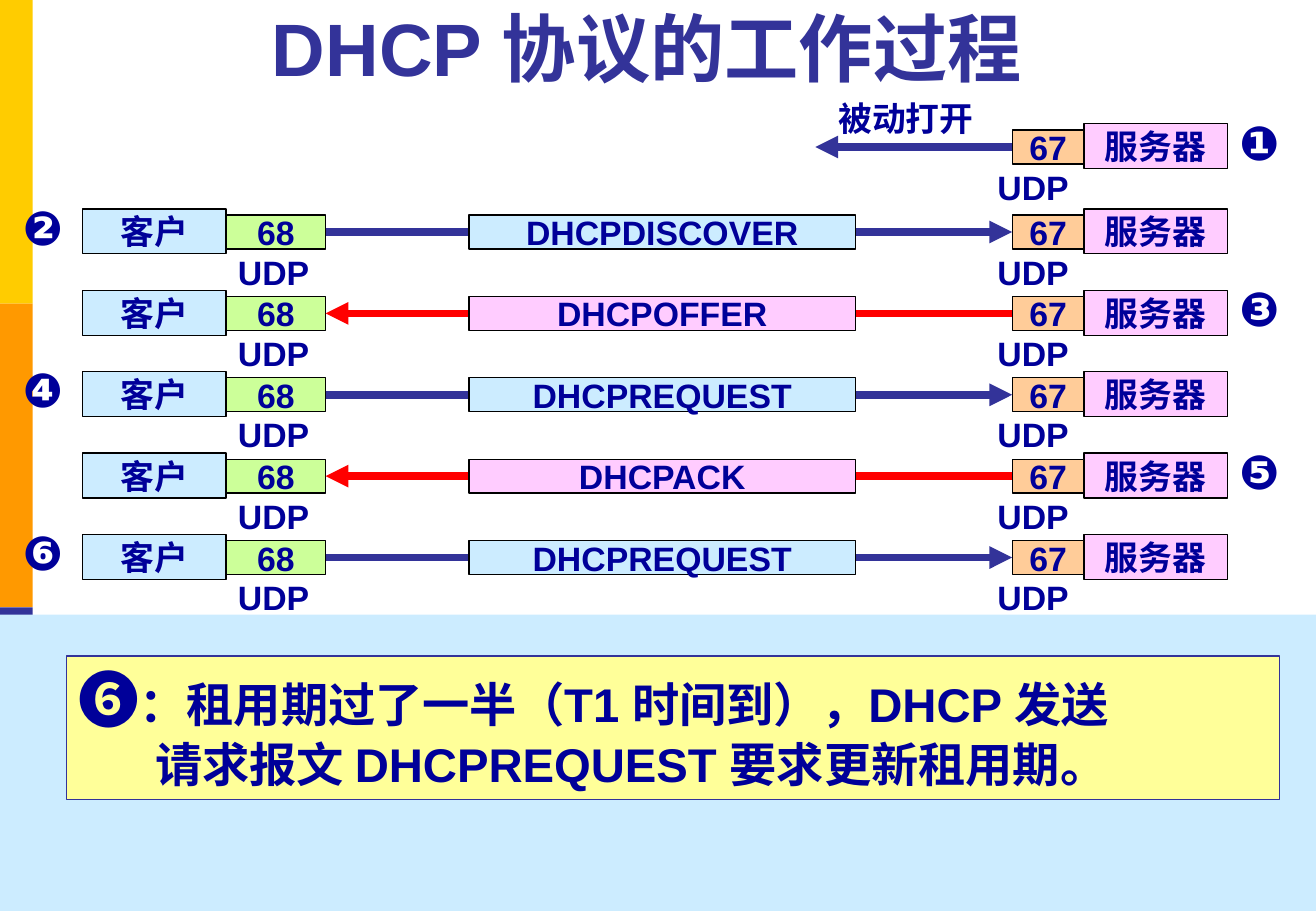
import pptx
import pptx.util
import pptx.dml.color
import pptx.enum.shapes
import pptx.enum.text
import pptx.oxml.ns
from lxml import etree

Inches = pptx.util.Inches
Align = pptx.enum.text.PP_ALIGN
Anchor = pptx.enum.text.MSO_ANCHOR
COLORS = {
    "gold": "FFCC00", "orange": "FF9900", "indigo": "333399", "red": "FF0000",
    "navy": "000099", "black": "000000", "sky": "CCECFF", "pink": "FFCCFF",
    "peach": "FFCC99", "lime": "CCFF99", "lemon": "FFFF99",
}
ROW_HEIGHT = 0.37
ROW_PITCH = 0.67
PORT_HEIGHT = 0.28
CLIENT_LEFT, SERVER_LEFT = 0.68, 8.33
EXCHANGES = [
    ("❷", "DHCPDISCOVER", True),
    ("❸", "DHCPOFFER", False),
    ("❹", "DHCPREQUEST", True),
    ("❺", "DHCPACK", False),
    ("❻", "DHCPREQUEST", True),
]


def color(name):
    return pptx.dml.color.RGBColor.from_string(COLORS[name])


def style_font(font, size, ink="navy"):
    font.name = "Arial"
    font.size = pptx.util.Pt(size)
    font.bold = True
    font.color.rgb = color(ink)


def add_block(page, left, top, width, height, fill, outline=None, text=None):
    """Add a filled rectangle, with a thin outline and a centred label if given."""
    box = page.shapes.add_shape(
        pptx.enum.shapes.MSO_SHAPE.RECTANGLE,
        Inches(left), Inches(top), Inches(width), Inches(height))
    box.shadow.inherit = False
    box.fill.solid()
    box.fill.fore_color.rgb = color(fill)
    if outline:
        box.line.color.rgb = color(outline)
        box.line.width = pptx.util.Pt(0.75)
    else:
        box.line.fill.background()
    if text:
        box.text_frame.word_wrap = False
        box.text_frame.vertical_anchor = Anchor.MIDDLE
        para = box.text_frame.paragraphs[0]
        para.text = text
        para.alignment = Align.CENTER
        style_font(para.font, 20)
    return box


def add_label(page, left, top, width, height, text, size=20):
    box = page.shapes.add_textbox(
        Inches(left), Inches(top), Inches(width), Inches(height))
    box.text_frame.word_wrap = False
    box.text_frame.auto_size = pptx.enum.text.MSO_AUTO_SIZE.SHAPE_TO_FIT_TEXT
    para = box.text_frame.paragraphs[0]
    para.text = text
    style_font(para.font, size)


def add_arrow(page, start, end, ink):
    """Add a thick arrow between two (x, y) points."""
    arrow = page.shapes.add_connector(
        pptx.enum.shapes.MSO_CONNECTOR.STRAIGHT,
        *[Inches(value) for value in (*start, *end)])
    arrow.line.color.rgb = color(ink)
    arrow.line.width = pptx.util.Pt(4.5)
    qn = pptx.oxml.ns.qn
    etree.SubElement(arrow.line._get_or_add_ln(), qn("a:tailEnd"), type="triangle")
    etree.SubElement(arrow._element.spPr, qn("a:effectLst"))
    return arrow


def add_client(page, left, top):
    """Add the client with its port on the right, and return the port."""
    add_block(page, left, top, 1.18, ROW_HEIGHT, "sky", "black", "客户")
    port = add_block(page, left + 1.18, top + 0.05, 0.82, PORT_HEIGHT,
                     "lime", "black", "68")
    add_label(page, left + 1.18, top + 0.3, 0.8, 0.44, "UDP")
    return port


def add_server(page, left, top):
    """Add the server with its port on the left, and return the port."""
    add_block(page, left + 0.59, top, 1.18, ROW_HEIGHT, "pink", "black", "服务器")
    port = add_block(page, left, top + 0.05, 0.59, PORT_HEIGHT,
                     "peach", "black", "67")
    add_label(page, left - 0.22, top + 0.3, 0.8, 0.44, "UDP")
    return port


def add_step(page, top, number, at_client):
    left = CLIENT_LEFT - 0.59 if at_client else SERVER_LEFT + 1.77
    add_label(page, left, top - 0.14, 0.55, 0.57, number, 28)


def add_passive_open(page, top):
    server_port = add_server(page, SERVER_LEFT, top)
    middle = top + 0.19
    arrow = add_arrow(page, (SERVER_LEFT, middle), (6.71, middle), "indigo")
    arrow.begin_connect(server_port, 1)
    add_label(page, 6.8, top - 0.26, 1.32, 0.44, "被动打开")
    add_step(page, top, "❶", False)


def add_exchange(page, top, number, message, from_client):
    """Add one message row between client and server."""
    client_port = add_client(page, CLIENT_LEFT, top)
    server_port = add_server(page, SERVER_LEFT, top)
    middle = top + 0.19
    ends = [(client_port, 3, (CLIENT_LEFT + 2, middle)),
            (server_port, 1, (SERVER_LEFT, middle))]
    if not from_client:
        ends.reverse()
    (source, source_side, start), (target, target_side, end) = ends
    arrow = add_arrow(page, start, end, "indigo" if from_client else "red")
    arrow.begin_connect(source, source_side)
    arrow.end_connect(target, target_side)
    add_block(page, 3.86, top + 0.05, 3.18, PORT_HEIGHT,
              "sky" if from_client else "pink", "black", message)
    add_step(page, top, number, from_client)


def add_side_band(page, left, top, width, height):
    for index, fill in enumerate(("gold", "orange", "indigo")):
        add_block(page, left, top + index * height / 3, width, height / 3, fill)


def add_title(page, left, top, width, height):
    box = page.shapes.add_textbox(
        Inches(left), Inches(top), Inches(width), Inches(height))
    box.text_frame.word_wrap = True
    box.text_frame.vertical_anchor = Anchor.BOTTOM
    para = box.text_frame.paragraphs[0]
    para.text = "DHCP 协议的工作过程"
    para.alignment = Align.CENTER
    style_font(para.font, 44, "indigo")


def add_explanation(page, left, top, width, height):
    """Add the bottom panel and the note on the current step."""
    add_block(page, left, top, width, height, "sky")
    note = add_block(page, left + 0.55, top + 0.34, 9.98, 1.18, "lemon", "indigo")
    frame = note.text_frame
    frame.word_wrap = True
    frame.auto_size = pptx.enum.text.MSO_AUTO_SIZE.SHAPE_TO_FIT_TEXT
    frame.vertical_anchor = Anchor.TOP
    first, second = frame.paragraphs[0], frame.add_paragraph()
    for text, size in (("❻", 36), ("：租用期过了一半（T1 时间到），DHCP 发送", 28)):
        span = first.add_run()
        span.text = text
        style_font(span.font, size)
    second.text = "请求报文 DHCPREQUEST 要求更新租用期。"
    second._p.get_or_add_pPr().set("marL", str(Inches(0.63)))
    style_font(second.font, 28)
    for para in (first, second):
        para.alignment = Align.JUSTIFY


def main():
    deck = pptx.Presentation()
    deck.slide_width, deck.slide_height = Inches(10.83), Inches(7.5)
    page = deck.slides.add_slide(deck.slide_layouts[6])
    add_side_band(page, 0, 0, 0.27, 7.5)
    add_passive_open(page, 1.02)
    for index, exchange in enumerate(EXCHANGES):
        add_exchange(page, 1.72 + index * ROW_PITCH, *exchange)
    add_explanation(page, 0, 5.06, 10.83, 2.44)
    add_title(page, 0.71, 0.21, 9.23, 0.59)
    deck.save("out.pptx")


if __name__ == "__main__":
    main()
